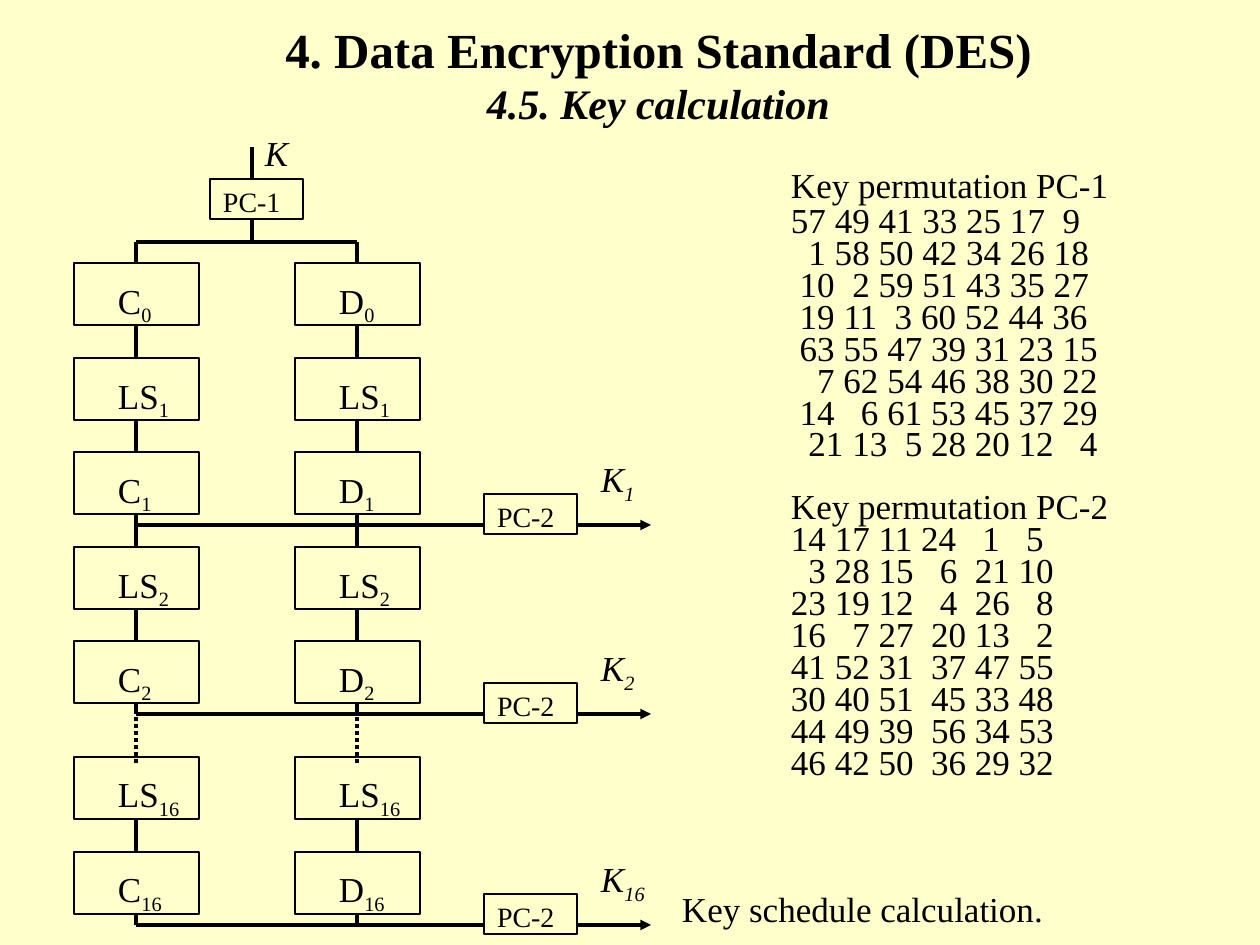
import pptx
import pptx.dml.color
import pptx.enum.dml
import pptx.enum.shapes
import pptx.enum.text
import pptx.oxml.ns
import pptx.util
from lxml import etree

EMU_PER_PX = 914400 / 126
FONT = "Times New Roman"
BLACK = "000000"
BACKGROUND = "FFFFCC"

COLUMNS = [(74, "C"), (295, "D")]
CELL_WIDTH, CELL_HEIGHT = 125, 62
CENTRES = [136, 357]
HALF_TOPS = {0: 263, 1: 452, 2: 641, 16: 852}
SHIFT_TOPS = {1: 358, 2: 547, 16: 757}
BUS_DROP = 73
PC_WIDTH, PC_HEIGHT = 93, 40
PC_2_LEFT = 484
FORK_Y = 242

PC_1_ROWS = [
    "57 49 41 33 25 17  9",
    "  1 58 50 42 34 26 18",
    " 10  2 59 51 43 35 27",
    " 19 11  3 60 52 44 36",
    " 63 55 47 39 31 23 15",
    "   7 62 54 46 38 30 22",
    " 14   6 61 53 45 37 29",
    "  21 13  5 28 20 12   4",
]
PC_2_ROWS = [
    "14 17 11 24   1   5",
    "  3 28 15   6  21 10",
    "23 19 12   4  26   8",
    "16   7 27  20 13   2",
    "41 52 31  37 47 55",
    "30 40 51  45 33 48",
    "44 49 39  56 34 53",
    "46 42 50  36 29 32",
]


def px(length):
    return pptx.util.Emu(round(length * EMU_PER_PX))


def colour(hex_string):
    return pptx.dml.color.RGBColor.from_string(hex_string)


def add_run(paragraph, text, size=20, bold=False, italic=False, subscript=False):
    run = paragraph.add_run()
    run.text = text
    run.font.name = FONT
    run.font.size = pptx.util.Pt(size)
    run.font.bold = bold
    run.font.italic = italic
    run.font.color.rgb = colour(BLACK)
    if subscript:
        run._r.get_or_add_rPr().set("baseline", "-25000")


def set_frame(frame, left=13, top=6, right=0):
    """Wrap the text from the top left, with the given insets."""
    frame.word_wrap = True
    frame.vertical_anchor = pptx.enum.text.MSO_ANCHOR.TOP
    frame.margin_left, frame.margin_right = px(left), px(right)
    frame.margin_top, frame.margin_bottom = px(top), 0


def set_paragraph(paragraph, before, align=pptx.enum.text.PP_ALIGN.LEFT):
    paragraph.space_before = pptx.util.Pt(before)
    paragraph.alignment = align


def add_text_box(slide, left, top, width, height):
    box = slide.shapes.add_textbox(px(left), px(top), px(width), px(height))
    set_frame(box.text_frame)
    return box.text_frame


def add_box(slide, left, top, width, height, inset_left=13, inset_top=6):
    """Draw an outlined box and return its first paragraph."""
    shape = slide.shapes.add_shape(
        pptx.enum.shapes.MSO_SHAPE.RECTANGLE, px(left), px(top), px(width), px(height))
    shape.shadow.inherit = False
    shape.fill.background()
    shape.line.color.rgb = colour(BLACK)
    shape.line.width = pptx.util.Pt(1)
    set_frame(shape.text_frame, inset_left, inset_top)
    return shape.text_frame.paragraphs[0]


def add_line(slide, x1, y1, x2, y2, dotted=False, arrow=False):
    line = slide.shapes.add_connector(
        pptx.enum.shapes.MSO_CONNECTOR.STRAIGHT, px(x1), px(y1), px(x2), px(y2))
    line.line.color.rgb = colour(BLACK)
    line.line.width = pptx.util.Pt(2)
    if dotted:
        line.line.dash_style = pptx.enum.dml.MSO_LINE.ROUND_DOT
    if arrow:
        etree.SubElement(line.line._get_or_add_ln(),
                         pptx.oxml.ns.qn("a:tailEnd"), type="triangle")
    etree.SubElement(line._element.spPr, pptx.oxml.ns.qn("a:effectLst"))


def add_cell(slide, left, top, name, index):
    paragraph = add_box(slide, left, top, CELL_WIDTH, CELL_HEIGHT, 44, 16)
    set_paragraph(paragraph, 12.5)
    add_run(paragraph, name)
    add_run(paragraph, str(index), subscript=True)


def add_permutation_box(slide, left, top, name):
    paragraph = add_box(slide, left, top, PC_WIDTH, PC_HEIGHT)
    set_paragraph(paragraph, 10)
    add_run(paragraph, name, 16)


def add_key_label(slide, left, top, index=None):
    paragraph = add_text_box(slide, left, top, 83, 60).paragraphs[0]
    set_paragraph(paragraph, 12.5)
    add_run(paragraph, "K", italic=True)
    if index is not None:
        add_run(paragraph, str(index), italic=True, subscript=True)


def add_title(slide):
    frame = add_text_box(slide, 242, 13, 820, 121)
    centre = pptx.enum.text.PP_ALIGN.CENTER
    set_paragraph(frame.paragraphs[0], 17.5, centre)
    add_run(frame.paragraphs[0], "4. Data Encryption Standard (DES)", 28, bold=True)
    subtitle = frame.add_paragraph()
    set_paragraph(subtitle, 0, centre)
    add_run(subtitle, "4.5. Key calculation", 24, bold=True, italic=True)


def add_key_input(slide):
    """Draw K passing through PC-1 and forking into both columns."""
    add_line(slide, 252, 147, 252, 179)
    add_key_label(slide, 252, 126)
    add_permutation_box(slide, 210, 179, "PC-1")
    add_line(slide, 252, 220, 252, FORK_Y)
    add_line(slide, CENTRES[0], FORK_Y, CENTRES[1], FORK_Y)
    for centre in CENTRES:
        add_line(slide, centre, FORK_Y, centre, HALF_TOPS[0])


def add_columns(slide):
    tops = sorted([*HALF_TOPS.values(), *SHIFT_TOPS.values()])
    for (left, name), centre in zip(COLUMNS, CENTRES):
        for index, top in HALF_TOPS.items():
            add_cell(slide, left, top, name, index)
        for index, top in SHIFT_TOPS.items():
            add_cell(slide, left, top, "LS", index)
        for top, following in zip(tops, tops[1:]):
            bottom = top + CELL_HEIGHT
            if following == SHIFT_TOPS[16]:
                add_line(slide, centre, bottom, centre, 766, dotted=True)
            else:
                add_line(slide, centre, bottom, centre, following)
        for index in (2, 16):
            top = HALF_TOPS[index]
            add_line(slide, centre, top + CELL_HEIGHT, centre, top + BUS_DROP)


def add_round_key(slide, index):
    top = HALF_TOPS[index]
    bus = top + BUS_DROP
    pc_right = PC_2_LEFT + PC_WIDTH
    add_line(slide, CENTRES[0], bus, PC_2_LEFT, bus)
    add_permutation_box(slide, PC_2_LEFT, bus - 31, "PC-2")
    add_line(slide, pc_right, bus, 651, bus, arrow=True)
    add_key_label(slide, 588, top, index)


def add_permutations(slide):
    frame = add_text_box(slide, 673, 158, 577, 629)
    lines = ["Key permutation PC-1", *PC_1_ROWS, "Key permutation PC-2", *PC_2_ROWS]
    for number, text in enumerate(lines):
        paragraph = frame.add_paragraph() if number else frame.paragraphs[0]
        second_heading = number == len(PC_1_ROWS) + 1
        set_paragraph(paragraph, 24 if second_heading else 6.2 if number else 12.5)
        if number:
            paragraph.line_spacing = 0.5
        paragraph._p.get_or_add_pPr().set("marL", str(px(105)))
        add_run(paragraph, text)


def add_caption(slide):
    paragraph = add_text_box(slide, 669, 881, 400, 54).paragraphs[0]
    set_paragraph(paragraph, 12.5)
    add_run(paragraph, "Key schedule calculation.")


def main():
    presentation = pptx.Presentation()
    presentation.slide_width, presentation.slide_height = px(1260), px(945)
    slide = presentation.slides.add_slide(presentation.slide_layouts[6])
    slide.background.fill.solid()
    slide.background.fill.fore_color.rgb = colour(BACKGROUND)
    add_title(slide)
    add_key_input(slide)
    add_columns(slide)
    for index in (1, 2, 16):
        add_round_key(slide, index)
    add_permutations(slide)
    add_caption(slide)
    presentation.save("out.pptx")


if __name__ == "__main__":
    main()
